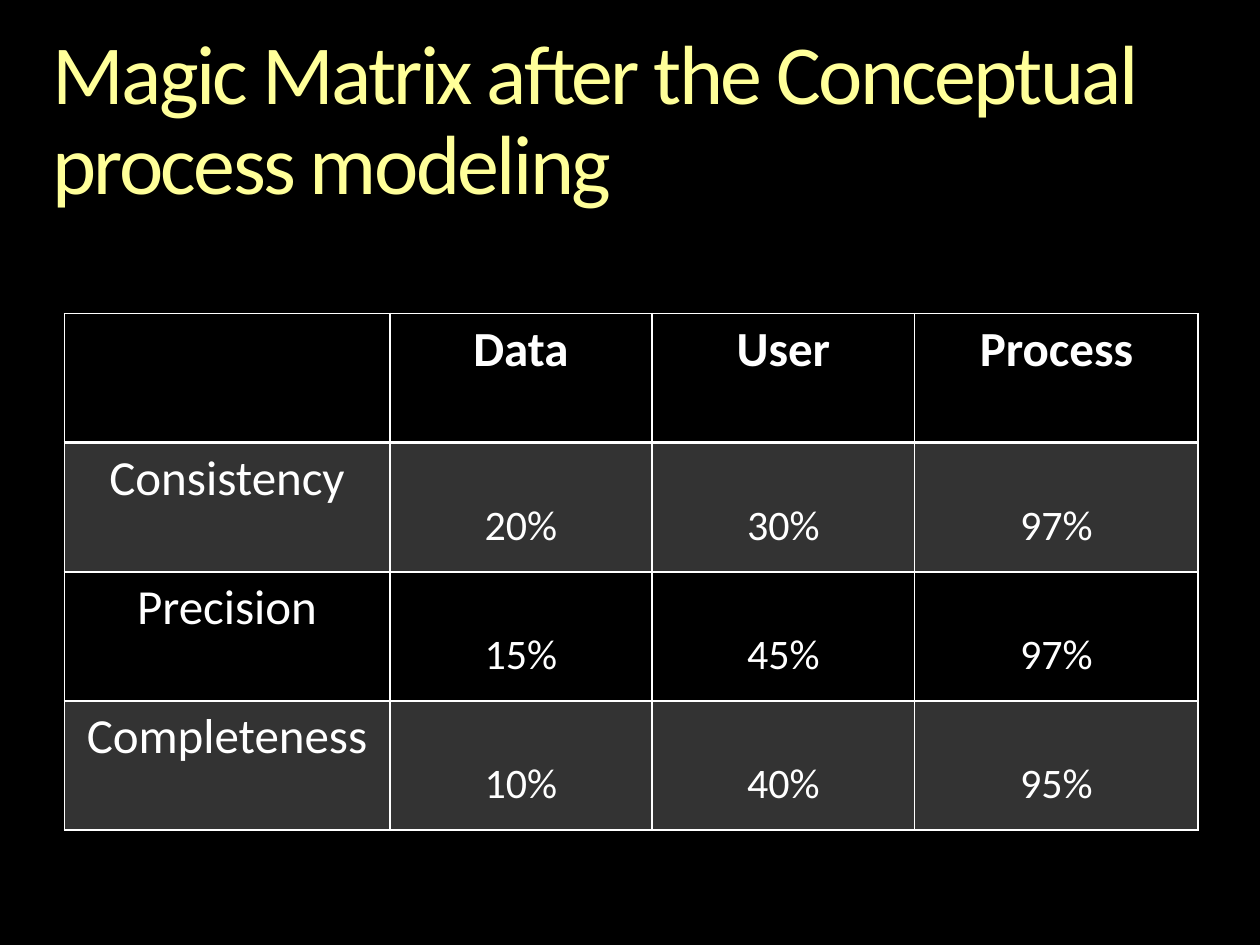
from lxml.etree import SubElement
from pptx import Presentation
from pptx.dml.color import RGBColor
from pptx.enum.text import PP_ALIGN as Align
from pptx.oxml.ns import qn
from pptx.util import Pt

BLACK = RGBColor(0x00, 0x00, 0x00)
WHITE = RGBColor(0xFF, 0xFF, 0xFF)
YELLOW = RGBColor(0xFF, 0xFF, 0x99)
GRAY = RGBColor(0x33, 0x33, 0x33)

TITLE = "Magic Matrix after the Conceptual process modeling"
HEADINGS = ["", "Data", "User", "Process"]
RATINGS = [
    ["Consistency", "20%", "30%", "97%"],
    ["Precision", "15%", "45%", "97%"],
    ["Completeness", "10%", "40%", "95%"],
]
COLUMN_WIDTHS = [186, 150, 150, 162]
ROW_HEIGHT = 73.75
VALUE_TOP_MARGIN = 33


class SlideWriter:
    font = "Calibri"

    def __init__(self, page):
        self.page = page

    def background(self, color):
        fill = self.page.background.fill
        fill.solid()
        fill.fore_color.rgb = color

    def add_span(self, para, text, size, color, bold=False):
        span = para.add_run()
        span.text = text
        span.font.name = self.font
        span.font.size = Pt(size)
        span.font.bold = bold
        span.font.color.rgb = color
        return span

    def title(self, text, left, top, width, height):
        box = self.page.shapes.add_textbox(Pt(left), Pt(top), Pt(width), Pt(height))
        frame = box.text_frame
        frame.word_wrap = True
        frame.margin_left = frame.margin_right = 0
        frame.margin_top = frame.margin_bottom = 0
        para = frame.paragraphs[0]
        para.line_spacing = 0.9
        span = self.add_span(para, text, 48, YELLOW)
        span.font._element.set("spc", "-150")

    def border(self, cell, side, width):
        line = SubElement(cell._tc.get_or_add_tcPr(), qn(f"a:ln{side}"), w=str(Pt(width)))
        fill = SubElement(line, qn("a:solidFill"))
        SubElement(fill, qn("a:srgbClr"), val=str(WHITE))

    def cell(self, cell, text, row, column):
        is_value = row > 0 and column > 0
        # Borders: a heavier rule under the heading row
        widths = {"L": 1, "R": 1, "T": 2 if row == 1 else 1, "B": 2 if row == 0 else 1}
        for side, width in widths.items():
            self.border(cell, side, width)
        # Bands on odd rows
        if row % 2:
            cell.fill.solid()
            cell.fill.fore_color.rgb = GRAY
        else:
            cell.fill.background()
        # Text: values sit lower than the labels
        if is_value:
            cell.margin_top = Pt(VALUE_TOP_MARGIN)
        if text:
            para = cell.text_frame.paragraphs[0]
            para.alignment = Align.CENTER
            self.add_span(para, text, 24 if is_value else 28, WHITE, bold=row == 0)

    def table(self, rows, left, top):
        frame = self.page.shapes.add_table(
            len(rows), len(COLUMN_WIDTHS), Pt(left), Pt(top),
            Pt(sum(COLUMN_WIDTHS)), Pt(ROW_HEIGHT * len(rows)))
        table = frame.table
        table.horz_banding = False
        for column, width in zip(table.columns, COLUMN_WIDTHS):
            column.width = Pt(width)
        for r, texts in enumerate(rows):
            table.rows[r].height = Pt(ROW_HEIGHT)
            for c, text in enumerate(texts):
                self.cell(table.cell(r, c), text, r, c)


def main():
    deck = Presentation()
    deck.slide_width, deck.slide_height = Pt(720), Pt(540)
    writer = SlideWriter(deck.slides.add_slide(deck.slide_layouts[6]))
    writer.background(BLACK)

    # Title
    writer.title(TITLE, 30, 18, 660, 104.4)

    # Matrix of ratings
    writer.table([HEADINGS] + RATINGS, 36.75, 179.25)

    deck.save("out.pptx")


if __name__ == "__main__":
    main()
